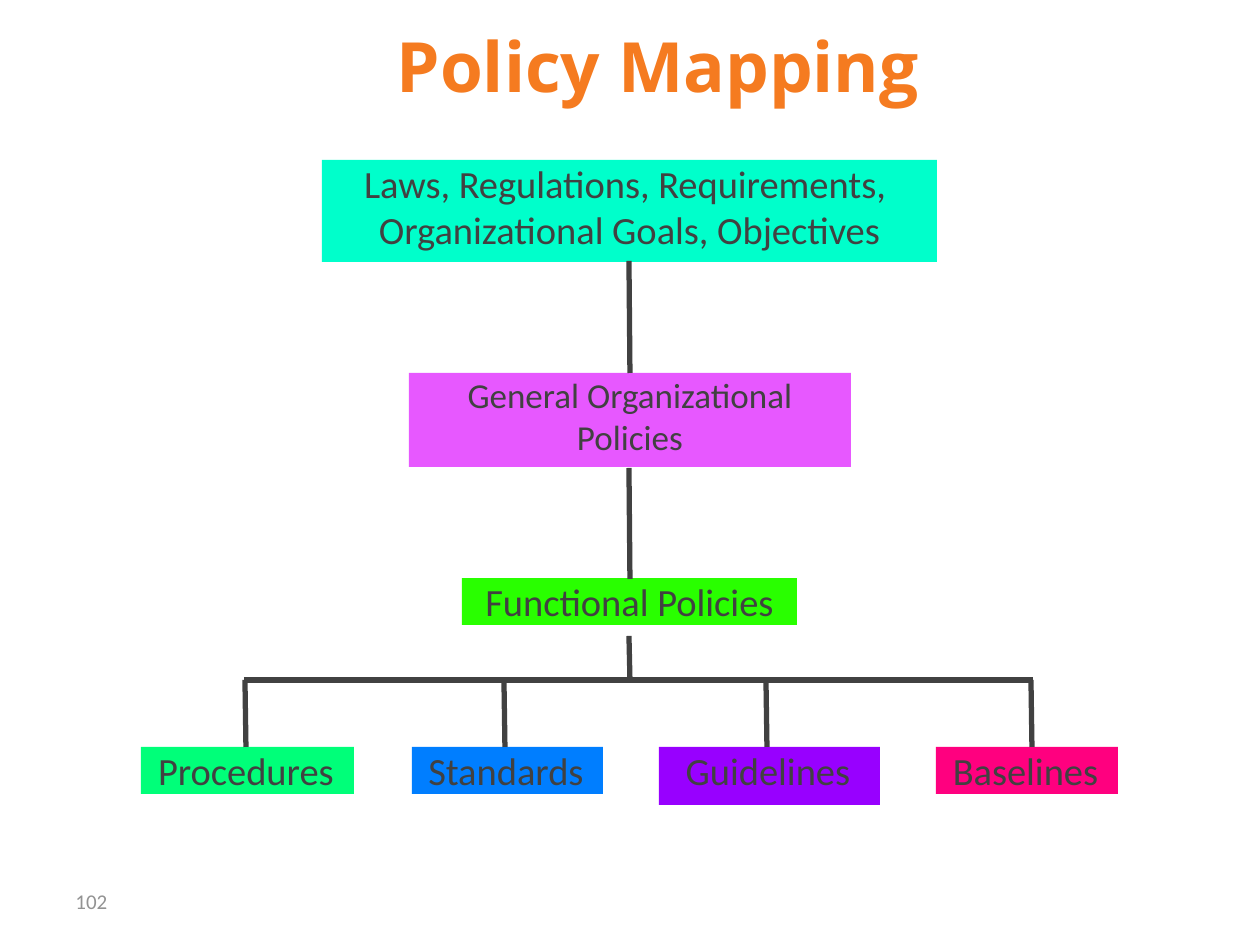
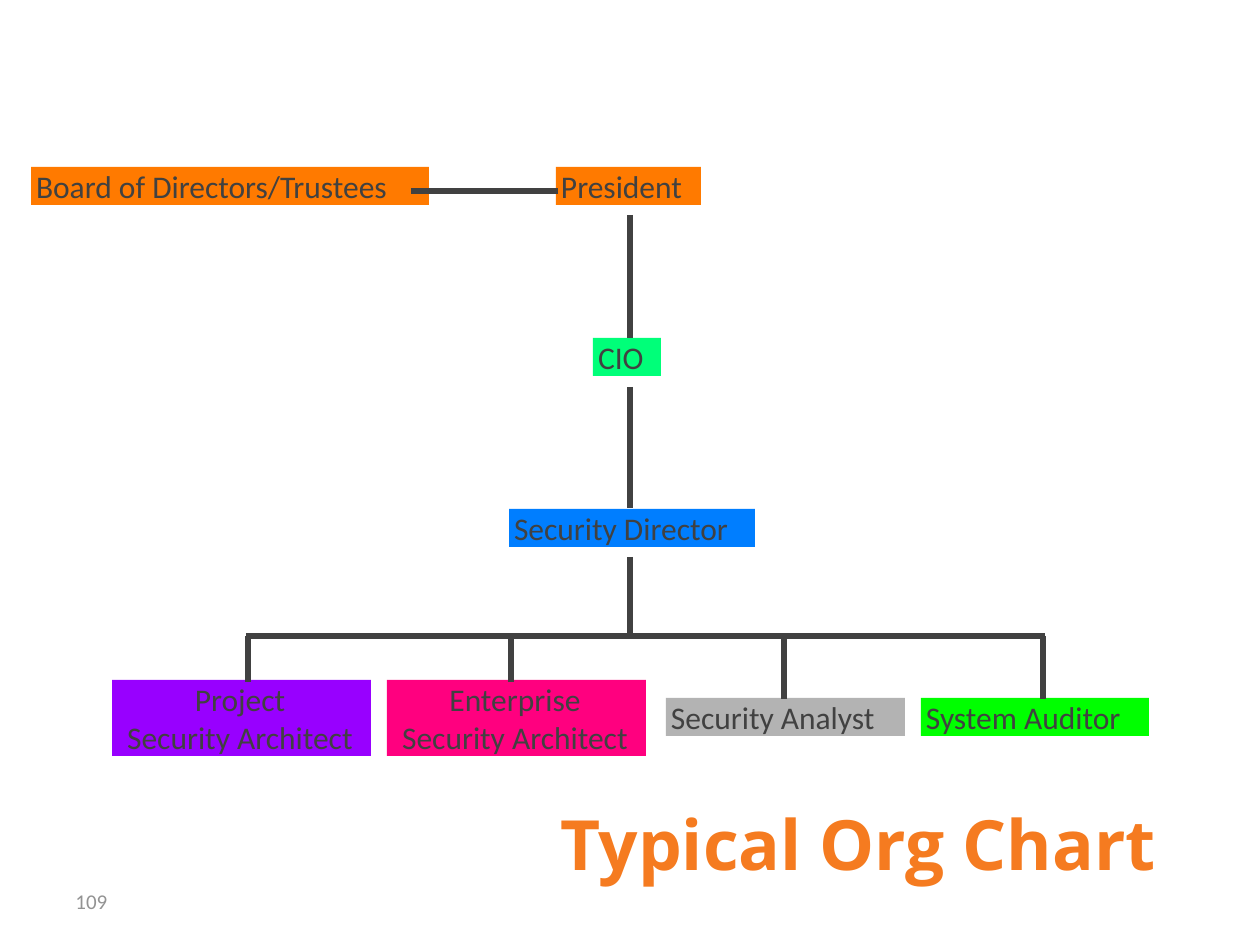
from lxml import etree
from pptx import Presentation
from pptx import util as u
from pptx.dml.color import RGBColor
from pptx.enum import shapes, text
from pptx.oxml.ns import qn

PX = 914400 // 126
COLOURS = {
    "ink": "414141", "title": "F57B20", "number": "939393",
    "aqua": "00FFCB", "orchid": "E758FF", "lime": "29FF00", "green": "00FF00",
    "mint": "00FF79", "blue": "007EFF", "violet": "9800FF",
    "pink": "FF007F", "orange": "FF7A00", "grey": "B3B3B3",
}
BODY, HEADING = "Calibri", "Open Sans"
CENTRE, LEFT, RIGHT = text.PP_ALIGN.CENTER, text.PP_ALIGN.LEFT, text.PP_ALIGN.RIGHT
INDENT = 5


def px(*lengths):
    """Turn pixels into EMU."""
    return [u.Emu(round(length * PX)) for length in lengths]


def colour(name):
    """Look up a named colour."""
    return RGBColor.from_string(COLOURS[name])


def set_margins(frame, left, top, right, bottom):
    """Set the four insets of a text frame in pixels."""
    (frame.margin_left, frame.margin_top,
     frame.margin_right, frame.margin_bottom) = px(left, top, right, bottom)


def add_words(paragraph, words, size, ink, font=BODY, bold=False):
    """Add one run to a paragraph and return it."""
    run = paragraph.add_run()
    run.text = words
    run.font.size, run.font.name, run.font.bold = u.Pt(size), font, bold
    run.font.color.rgb = colour(ink)
    return run


def add_title(slide, box, words):
    """Right-aligned bold heading with a thin outline."""
    frame = slide.shapes.add_textbox(*px(*box)).text_frame
    frame.word_wrap = True
    frame.vertical_anchor = text.MSO_ANCHOR.MIDDLE
    set_margins(frame, 13, 6, 19, 6)
    heading = frame.paragraphs[0]
    heading.alignment = RIGHT
    run = add_words(heading, words, 39.6, "title", HEADING, True)
    outline = etree.Element(qn("a:ln"), w=str(u.Pt(0.75)))
    fill = etree.SubElement(outline, qn("a:solidFill"))
    etree.SubElement(fill, qn("a:srgbClr"), val=COLOURS["ink"])
    run.font._element.insert(0, outline)


def add_page_number(slide, number):
    """Grey page number at the bottom left."""
    frame = slide.shapes.add_textbox(*px(63, 876, 294, 50)).text_frame
    frame.word_wrap = True
    frame.vertical_anchor = text.MSO_ANCHOR.MIDDLE
    add_words(frame.paragraphs[0], number, 12, "number")


def add_node(slide, box, lines, fill, size, align=CENTRE, inset=5, fixed=False):
    """Coloured box with one or more lines of text."""
    node = slide.shapes.add_shape(shapes.MSO_SHAPE.RECTANGLE, *px(*box))
    node.shadow.inherit = False
    node.fill.solid()
    node.fill.fore_color.rgb = colour(fill)
    node.line.fill.background()
    frame = node.text_frame
    frame.word_wrap = fixed
    frame.auto_size = (text.MSO_AUTO_SIZE.NONE if fixed
                       else text.MSO_AUTO_SIZE.SHAPE_TO_FIT_TEXT)
    frame.vertical_anchor = text.MSO_ANCHOR.TOP
    set_margins(frame, 0, 0, inset, 0)
    label = frame.paragraphs[0]
    label.alignment = align
    properties = label._p.get_or_add_pPr()
    properties.set("marL", str(INDENT * PX))
    properties.set("indent", "0")
    for index, line in enumerate(lines):
        if index:
            label.add_line_break()
        add_words(label, line, size, "ink")


def add_link(slide, *ends):
    """Dark line from x1, y1 to x2, y2."""
    link = slide.shapes.add_connector(shapes.MSO_CONNECTOR.STRAIGHT, *px(*ends))
    link.line.width = u.Pt(3)
    link.line.color.rgb = colour("ink")
    etree.SubElement(link._element.spPr, qn("a:effectLst"))


def add_fork(slide, left, right, bar, drops, lean=0):
    """Horizontal bar with a drop (x, bottom) to each node below it."""
    for x, bottom in drops:
        add_link(slide, x, bar, x + lean, bottom)
    add_link(slide, left, bar, right, bar)


def policy_mapping(slide, left, top):
    """Policy levels from laws down to four kinds of document."""
    add_node(slide, (left + 462, top + 578, 335, 47), ["Functional Policies"], "lime", 22)
    leaves = [("Procedures", "mint", 141, 213, 47), ("Standards", "blue", 412, 191, 47),
              ("Guidelines", "violet", 659, 221, 58), ("Baselines", "pink", 936, 182, 47)]
    for name, fill, x, width, height in leaves:
        add_node(slide, (left + x, top + 747, width, height), [name], fill, 22,
                 inset=8, fixed=name == "Guidelines")
    add_node(slide, (left + 322, top + 160, 615, 102),
             ["Laws, Regulations, Requirements, ", "Organizational Goals, Objectives"],
             "aqua", 22, fixed=True)
    add_node(slide, (left + 409, top + 373, 442, 94),
             ["General Organizational Policies"], "orchid", 20, fixed=True)
    for start, end in [(261, 373), (468, 579), (636, 680)]:
        add_link(slide, left + 629, top + start, left + 630, top + end)
    add_fork(slide, left + 244, left + 1033, top + 680,
             [(left + x, top + 747) for x in (245, 504, 766, 1031)], lean=1)


def org_chart(slide, left, top):
    """Reporting lines from the board down to the security staff."""
    managers = [("Board of Directors/Trustees", "orange", 31, 167, 398),
                ("President", "orange", 556, 167, 145),
                ("CIO", "mint", 593, 338, 68),
                ("Security Director", "blue", 509, 509, 246)]
    for name, fill, x, y, width in managers:
        add_node(slide, (left + x, top + y, width, 38), [name], fill, 18, LEFT)
    staff = [(["Project", "Security Architect"], "violet", 112, 680, 259),
             (["Enterprise", "Security Architect"], "pink", 387, 680, 259),
             (["Security Analyst"], "grey", 666, 698, 239),
             (["System Auditor"], "green", 921, 698, 228)]
    for lines, fill, x, y, width in staff:
        add_node(slide, (left + x, top + y, width, 38 * len(lines)), lines, fill, 18,
                 CENTRE if len(lines) > 1 else LEFT, inset=8)
    add_link(slide, left + 411, top + 191, left + 558, top + 191)
    for start, end in [(215, 338), (387, 508), (557, 635)]:
        add_link(slide, left + 630, top + start, left + 630, top + end)
    add_fork(slide, left + 246, left + 1045, top + 636,
             [(left + 248, top + 682), (left + 511, top + 682),
              (left + 784, top + 699), (left + 1043, top + 699)])


def main():
    """Build both slides and save them."""
    deck = Presentation()
    deck.slide_width, deck.slide_height = px(1260, 945)
    pages = [("102", "Policy Mapping", (-204, 15), policy_mapping),
             ("109", "Typical Org Chart", (33, 793), org_chart)]
    for number, title, corner, draw_diagram in pages:
        slide = deck.slides.add_slide(deck.slide_layouts[6])
        add_page_number(slide, number)
        add_title(slide, (*corner, 1142, 100), title)
        draw_diagram(slide, 0, 0)
    deck.save("out.pptx")


main()
